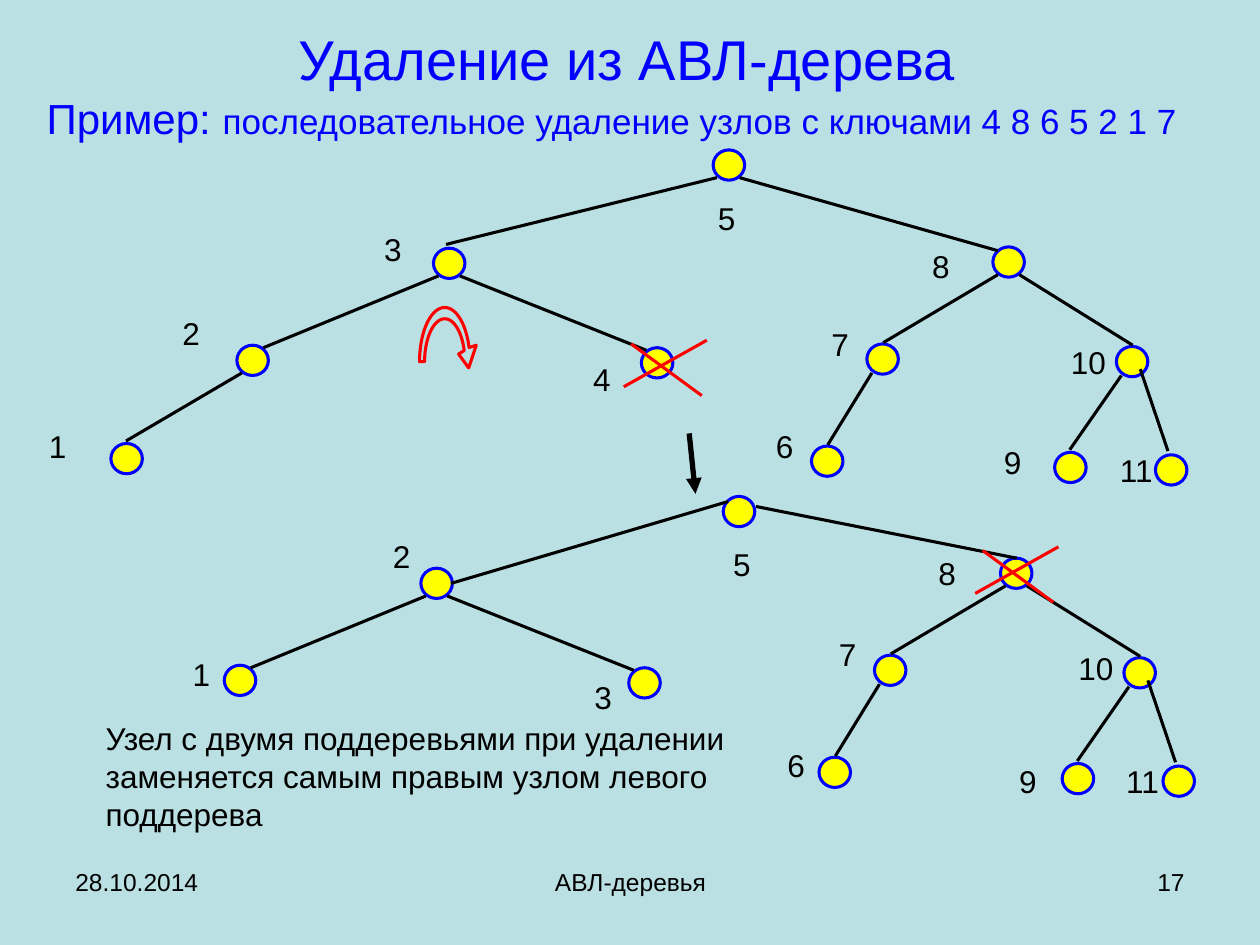
"""Build the slide on deleting nodes from an AVL tree."""
from math import cos, radians, sin

from lxml.etree import SubElement
from pptx import Presentation
from pptx.dml.color import RGBColor
from pptx.enum.shapes import MSO_CONNECTOR as CONNECTOR, MSO_SHAPE as SHAPE
from pptx.enum.text import MSO_ANCHOR as ANCHOR, MSO_AUTO_SIZE as AUTO_SIZE, PP_ALIGN as ALIGN
from pptx.oxml.ns import qn
from pptx.util import Inches, Pt

COLORS = {"background": "BBE0E3", "blue": "0000FF", "node": "FFFF00",
          "red": "FF0000", "black": "000000"}
RGB = {name: RGBColor.from_string(value) for name, value in COLORS.items()}
NODE_WIDTH, NODE_HEIGHT = 0.25, 0.24

prs = Presentation()
prs.slide_width, prs.slide_height = Inches(10), Inches(7.5)
slide = prs.slides.add_slide(prs.slide_layouts[5])
slide.background.fill.solid()
slide.background.fill.fore_color.rgb = RGB["background"]
shapes = slide.shapes


def add_line(start, end, color="black", width=1.75):
    line = shapes.add_connector(CONNECTOR.STRAIGHT, *map(Inches, (*start, *end)))
    line.line.color.rgb = RGB[color]
    line.line.width = Pt(width)
    SubElement(line._element.spPr, qn("a:effectLst"))
    return line


def add_text(text, left, top, width, height, size=18, align=ALIGN.LEFT, wrap=True):
    frame = shapes.add_textbox(*map(Inches, (left, top, width, height))).text_frame
    frame.word_wrap = wrap
    frame.paragraphs[0].alignment = align
    run = frame.paragraphs[0].add_run()
    run.text = text
    run.font.name, run.font.size = "Arial", Pt(size)
    run.font.color.rgb = RGB["black"]


title = shapes.title
title.left, title.top, title.width, title.height = map(Inches, (0.27, 0.3, 9.53, 0.73))
title.text_frame.auto_size = AUTO_SIZE.NONE
title.text_frame.word_wrap = True
title.text_frame.vertical_anchor = ANCHOR.MIDDLE
heading = title.text_frame.paragraphs[0]
heading.alignment = ALIGN.LEFT
heading._p.get_or_add_pPr().set("indent", str(Inches(2)))
for text, size in (("Удаление из АВЛ-дерева", 32), ("Пример: ", 24),
                   ("последовательное удаление узлов с ключами 4 8 6 5 2 1 7", 20)):
    run = heading.add_run()
    run.text = text
    run.font.name, run.font.size = "Arial", Pt(size)
    run.font.color.rgb = RGB["blue"]
    if size == 32:
        heading.add_line_break()

left_nodes = [(3.44, 1.97), (1.88, 2.74), (5.09, 2.76)]
left_edges = [((3.48, 2.19), (2.09, 2.76)), ((3.65, 2.19), (5.13, 2.78))]
right_nodes = [(7.88, 1.96), (6.88, 2.73), (6.44, 3.54), (8.86, 2.75),
               (8.37, 3.59), (9.17, 3.61)]
right_edges = [((7.92, 2.18), (7.01, 2.72)), ((8.09, 2.18), (8.99, 2.74)),
               ((6.92, 2.96), (6.57, 3.53)), ((8.9, 2.98), (8.49, 3.57)),
               ((9.05, 2.93), (9.27, 3.58))]
before_nodes = [(5.66, 1.19), (0.88, 3.52)]
before_edges = [((5.69, 1.41), (3.54, 1.94)), ((5.87, 1.41), (7.92, 1.99)),
                ((1.92, 2.96), (1, 3.5))]
after_nodes = [(5.74, 3.94)]
after_edges = [((5.78, 3.98), (3.58, 4.63)), ((6, 4.02), (8.07, 4.43))]

for nodes, edges, dx, dy in (
        (left_nodes, left_edges, 0, 0), (right_nodes, right_edges, 0, 0),
        (before_nodes, before_edges, 0, 0),
        (left_nodes, left_edges, -0.1, 2.54), (right_nodes, right_edges, 0.06, 2.47),
        (after_nodes, after_edges, 0, 0)):
    for x, y in nodes:
        node = shapes.add_shape(SHAPE.OVAL, Inches(x + dx), Inches(y + dy),
                                Inches(NODE_WIDTH), Inches(NODE_HEIGHT))
        node.shadow.inherit = False
        node.fill.solid()
        node.fill.fore_color.rgb = RGB["node"]
        node.line.color.rgb = RGB["blue"]
        node.line.width = Pt(1.75)
    for (x1, y1), (x2, y2) in edges:
        add_line((x1 + dx, y1 + dy), (x2 + dx, y2 + dy))

for x, y in ((4.95, 2.7), (7.74, 4.34)):
    add_line((x + 0.66, y), (x, y + 0.37), "red")
    add_line((x + 0.06, y + 0.03), (x + 0.62, y + 0.44), "red")

angles = range(180, 14, -5)
outer_arc = [(3.53 + 0.2 * cos(radians(a)), 2.87 - 0.43 * sin(radians(a))) for a in angles]
inner_arc = [(3.53 + 0.16 * cos(radians(a)), 2.87 - 0.34 * sin(radians(a))) for a in angles]
arrowhead = [(3.78, 2.74), (3.72, 2.92), (3.64, 2.81)]
outline = [(Inches(x), Inches(y)) for x, y in outer_arc + arrowhead + inner_arc[::-1]]
builder = shapes.build_freeform(*outline[0])
builder.add_line_segments(outline[1:], close=True)
rotation = builder.convert_to_shape()
rotation.shadow.inherit = False
rotation.fill.solid()
rotation.fill.fore_color.rgb = RGB["background"]
rotation.line.color.rgb = RGB["red"]
rotation.line.width = Pt(1.75)

for key, left, top in (
        ("1", 0.29, 3.34), ("2", 1.35, 2.44), ("3", 2.95, 1.78), ("4", 4.61, 2.81),
        ("5", 5.6, 1.53), ("8", 7.3, 1.91), ("7", 6.5, 2.53), ("6", 6.06, 3.34),
        ("9", 7.87, 3.47), ("10", 8.4, 2.67), ("11", 8.79, 3.53),
        ("5", 5.72, 4.28), ("8", 7.35, 4.35), ("7", 6.56, 4.99), ("6", 6.15, 5.87),
        ("9", 7.99, 6), ("10", 8.46, 5.1), ("11", 8.84, 6), ("3", 4.62, 5.33),
        ("2", 3.02, 4.21), ("1", 1.43, 5.15)):
    add_text(key, left, top, 0.34 if len(key) == 1 else 0.53, 0.4, wrap=False)

add_text("Узел с двумя поддеревьями при удалении заменяется самым правым узлом "
         "левого поддерева", 0.74, 5.66, 5.36, 1)

step = add_line((5.47, 3.44), (5.52, 3.92), width=3)
SubElement(step.line._get_or_add_ln(), qn("a:tailEnd"), type="triangle")

for text, left, width, align in (("28.10.2014", 0.5, 2.33, ALIGN.LEFT),
                                 ("АВЛ-деревья", 3.42, 3.17, ALIGN.CENTER),
                                 ("17", 7.17, 2.33, ALIGN.RIGHT)):
    add_text(text, left, 6.83, width, 0.52, 14, align)

prs.save("out.pptx")
